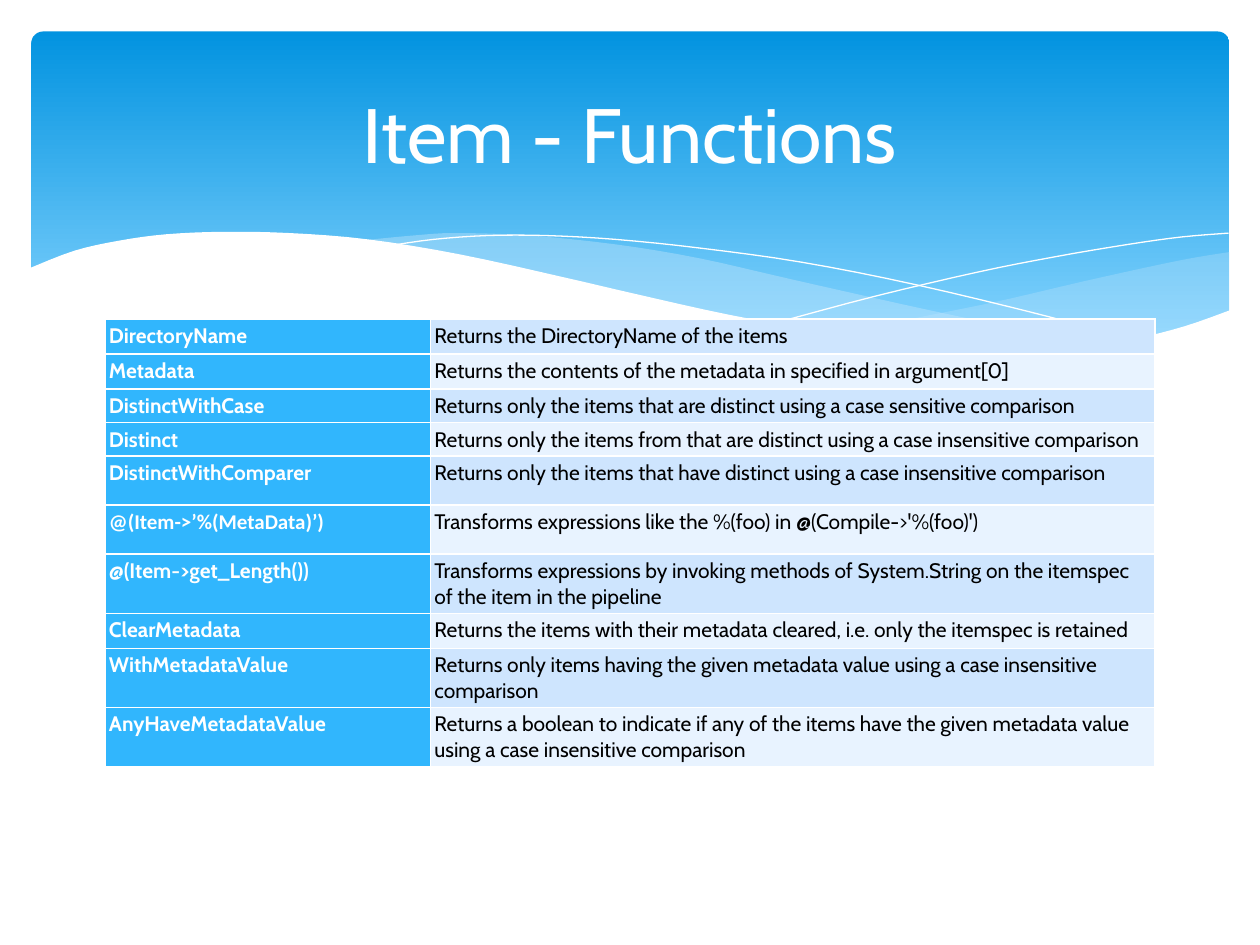
from dataclasses import dataclass

import pptx
import pptx.dml.color
import pptx.enum.shapes
import pptx.enum.text
import pptx.oxml
import pptx.oxml.ns
import pptx.util

Pt = pptx.util.Pt
qn = pptx.oxml.ns.qn


@dataclass(frozen=True)
class Theme:
    white: str = "FFFFFF"
    text: str = "000000"
    banner_top: str = "0293E0"
    banner_bottom: str = "83D3FE"
    wave: str = "C6E7FC"
    name_fill: str = "31B6FD"
    bands: tuple = ("CEE5FE", "E8F3FF")
    font: str = "Cabin"
    alt_font: str = "Calibri"
    title_size: int = 44
    table_size: int = 12


THEME = Theme()

# Key points of the waves, in points; smooth curves run through them
RIGHT_WAVE_TOP = [(702.7, 144), (673.2, 149), (620, 160.6), (561, 174.2), (476, 190.8)]
RIGHT_WAVE_BOTTOM = [(476, 190.8), (517.7, 195.8), (553.7, 199.4), (586, 200.2),
                     (621.4, 198), (651.6, 193.7), (678.2, 186.5), (702.7, 177.8)]
MIDDLE_WAVE_TOP = [(643, 196.6), (581, 187.2), (533.5, 177.8), (453, 159.8),
                   (399.6, 147.6), (352, 139.7), (302.4, 134.6), (260, 133.2),
                   (236.2, 134.6), (206, 137.5)]
MIDDLE_WAVE_BOTTOM = [(206, 137.5), (246.2, 143.3), (291, 151.9), (323.3, 159.8),
                      (381.6, 172.8), (432.7, 183.6), (478.8, 191.5), (519.8, 197.3),
                      (556.6, 199.4), (589, 200.2), (617, 199.4), (643, 196.6)]
FALLING_LINE = [(222.5, 140.4), (247.7, 136.8), (278.6, 134.6), (311.8, 134.6),
                (352, 136.8), (400.3, 141.8), (458, 149.8), (523.4, 162.7),
                (598.3, 180.7), (653, 195.8)]
RISING_LINE = [(441.4, 185), (500.4, 169.2), (558.7, 155.5), (602, 146.9),
               (644.4, 139.7), (675.4, 135.4), (702, 133.2)]
PAGE_EDGE = [(703.4, 177.1), (676.8, 186.5), (647.3, 193.7), (612, 198),
             (582.5, 199.4), (548, 198), (509.8, 194.4), (466.6, 188.6),
             (417, 180), (362.2, 167.8), (321.8, 158.4), (262.8, 145.4),
             (210.2, 136.8), (165.6, 133.2), (127.4, 132.5), (95, 133.9),
             (68.4, 137.5), (42.5, 143.3), (16.6, 153.4)]
PAGE_CORNERS = [(16.6, 236.9), (703.4, 236.9)]

# Function, description, row height
FUNCTIONS = [
    ("DirectoryName", "Returns the DirectoryName of the items", 20),
    ("Metadata", "Returns the contents of the metadata in specified in argument[0]", 20),
    ("DistinctWithCase",
     "Returns only the items that are distinct using a case sensitive comparison", 17),
    ("Distinct",
     "Returns only the items from that are distinct using a case insensitive comparison", 7),
    ("DistinctWithComparer",
     "Returns only the items that have distinct using a case insensitive comparison", 28),
    ("@(Item->’%(MetaData)’)",
     "Transforms expressions like the %(foo) in @(Compile->'%(foo)')", 28),
    ("@(Item->get_Length())",
     "Transforms expressions by invoking methods of System.String on the itemspec "
     "of the item in the pipeline", 28),
    ("ClearMetadata",
     "Returns the items with their metadata cleared, i.e. only the itemspec is retained", 20),
    ("WithMetadataValue",
     "Returns only items having the given metadata value using a case insensitive "
     "comparison", 20),
    ("AnyHaveMetadataValue",
     "Returns a boolean to indicate if any of the items have the given metadata value "
     "using a case insensitive comparison", 28),
]
ALT_FONT_NAME = "@(Item->’%(MetaData)’)"


def rgb(code):
    return pptx.dml.color.RGBColor.from_string(code)


def set_font(paragraph, size, color, bold=False, face=THEME.font):
    font = paragraph.font
    font.name, font.size, font.bold = face, Pt(size), bold
    font.color.rgb = rgb(color)


def smooth(points, steps=4):
    """Catmull-Rom curve through the points."""
    padded = [points[0], *points, points[-1]]
    curve = [points[0]]
    for a, b, c, d in zip(padded, padded[1:], padded[2:], padded[3:]):
        for step in range(1, steps + 1):
            t = step / steps
            curve.append(tuple(
                (2 * q + (r - p) * t + (2 * p - 5 * q + 4 * r - s) * t ** 2
                 + (3 * q - p - 3 * r + s) * t ** 3) / 2
                for p, q, r, s in zip(a, b, c, d)))
    return curve


def draw_outline(slide, points, close):
    start, *rest = [(Pt(x), Pt(y)) for x, y in points]
    builder = slide.shapes.build_freeform(*start)
    builder.add_line_segments(rest, close=close)
    outline = builder.convert_to_shape()
    outline.shadow.inherit = False
    return outline


def add_area(slide, points, color, opacity=100):
    area = draw_outline(slide, points, True)
    area.fill.solid()
    area.fill.fore_color.rgb = rgb(color)
    area.line.fill.background()
    if opacity < 100:
        tint = area.fill._xPr.find(qn("a:solidFill"))[0]
        tint.append(pptx.oxml.parse_xml(
            f'<a:alpha {pptx.oxml.ns.nsdecls("a")} val="{opacity * 1000}"/>'))


def add_hairline(slide, points):
    hairline = draw_outline(slide, smooth(points), False)
    hairline.fill.background()
    hairline.line.color.rgb = rgb(THEME.white)
    hairline.line.width = Pt(0)


def add_banner(slide):
    banner = slide.shapes.add_shape(
        pptx.enum.shapes.MSO_SHAPE.ROUNDED_RECTANGLE, Pt(18), Pt(18), Pt(684.5), Pt(194.4))
    banner.adjustments[0] = 0.034
    banner.shadow.inherit = False
    banner.line.fill.background()
    banner.fill.gradient()
    banner.fill.gradient_angle = 270
    stops = zip(banner.fill.gradient_stops, (THEME.banner_top, THEME.banner_bottom), (0, 0.9))
    for stop, color, position in stops:
        stop.color.rgb = rgb(color)
        stop.position = position


def add_title(slide, wording):
    frame = slide.shapes.add_textbox(Pt(36), Pt(26.6), Pt(648), Pt(98.6)).text_frame
    frame.word_wrap = True
    frame.vertical_anchor = pptx.enum.text.MSO_ANCHOR.MIDDLE
    heading = frame.paragraphs[0]
    heading.text = wording
    heading.alignment = pptx.enum.text.PP_ALIGN.CENTER
    set_font(heading, THEME.title_size, THEME.white)


def fill_cell(cell, wording, fill, color, bold, face):
    cell.margin_left = cell.margin_right = cell.margin_top = cell.margin_bottom = Pt(2.25)
    for side in ("lnL", "lnR", "lnT", "lnB"):
        cell._tc.get_or_add_tcPr().append(pptx.oxml.parse_xml(
            f'<a:{side} {pptx.oxml.ns.nsdecls("a")} w="{Pt(1)}"><a:solidFill>'
            f'<a:srgbClr val="{THEME.white}"/></a:solidFill></a:{side}>'))
    cell.fill.solid()
    cell.fill.fore_color.rgb = rgb(fill)
    paragraph = cell.text_frame.paragraphs[0]
    paragraph.text = wording
    set_font(paragraph, THEME.table_size, color, bold, face)


def add_function_table(slide):
    frame = slide.shapes.add_table(
        len(FUNCTIONS), 2, Pt(60), Pt(182.4), Pt(600), Pt(255))
    grid = frame.table
    grid.columns[0].width, grid.columns[1].width = Pt(186), Pt(414)
    for index, (name, description, height) in enumerate(FUNCTIONS):
        grid.rows[index].height = Pt(height)
        face = THEME.alt_font if name == ALT_FONT_NAME else THEME.font
        fill_cell(grid.cell(index, 0), name, THEME.name_fill, THEME.white, True, face)
        fill_cell(grid.cell(index, 1), description, THEME.bands[index % 2],
                  THEME.text, False, THEME.font)
    frame.height = Pt(255)


def main():
    deck = pptx.Presentation()
    deck.slide_width, deck.slide_height = Pt(720), Pt(540)
    slide = deck.slides.add_slide(deck.slide_layouts[6])

    # Banner with waves
    add_banner(slide)
    add_area(slide, smooth(RIGHT_WAVE_TOP) + smooth(RIGHT_WAVE_BOTTOM), THEME.wave, 29)
    add_area(slide, smooth(MIDDLE_WAVE_TOP) + smooth(MIDDLE_WAVE_BOTTOM), THEME.wave, 40)
    add_hairline(slide, FALLING_LINE)
    add_hairline(slide, RISING_LINE)
    add_area(slide, smooth(PAGE_EDGE) + PAGE_CORNERS, THEME.white)

    # Content
    add_function_table(slide)
    add_title(slide, "Item - Functions")
    deck.save("out.pptx")


if __name__ == "__main__":
    main()
